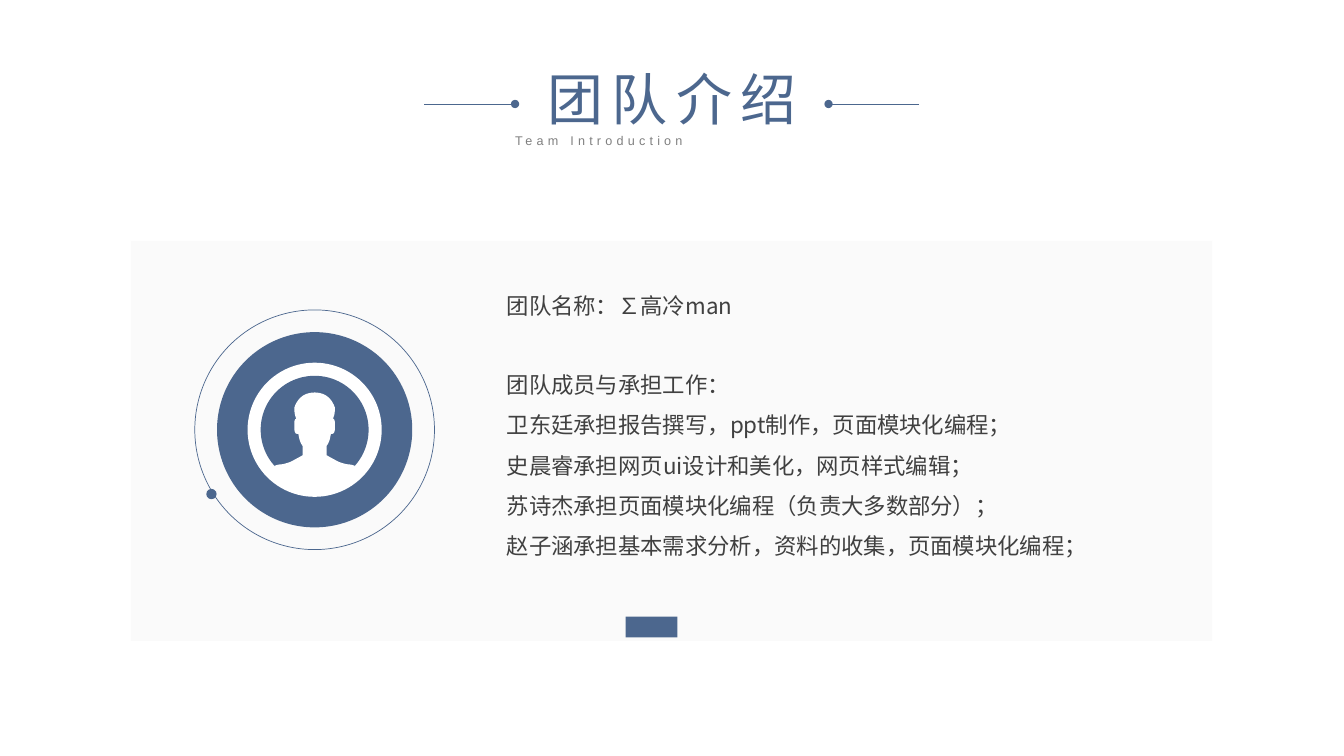
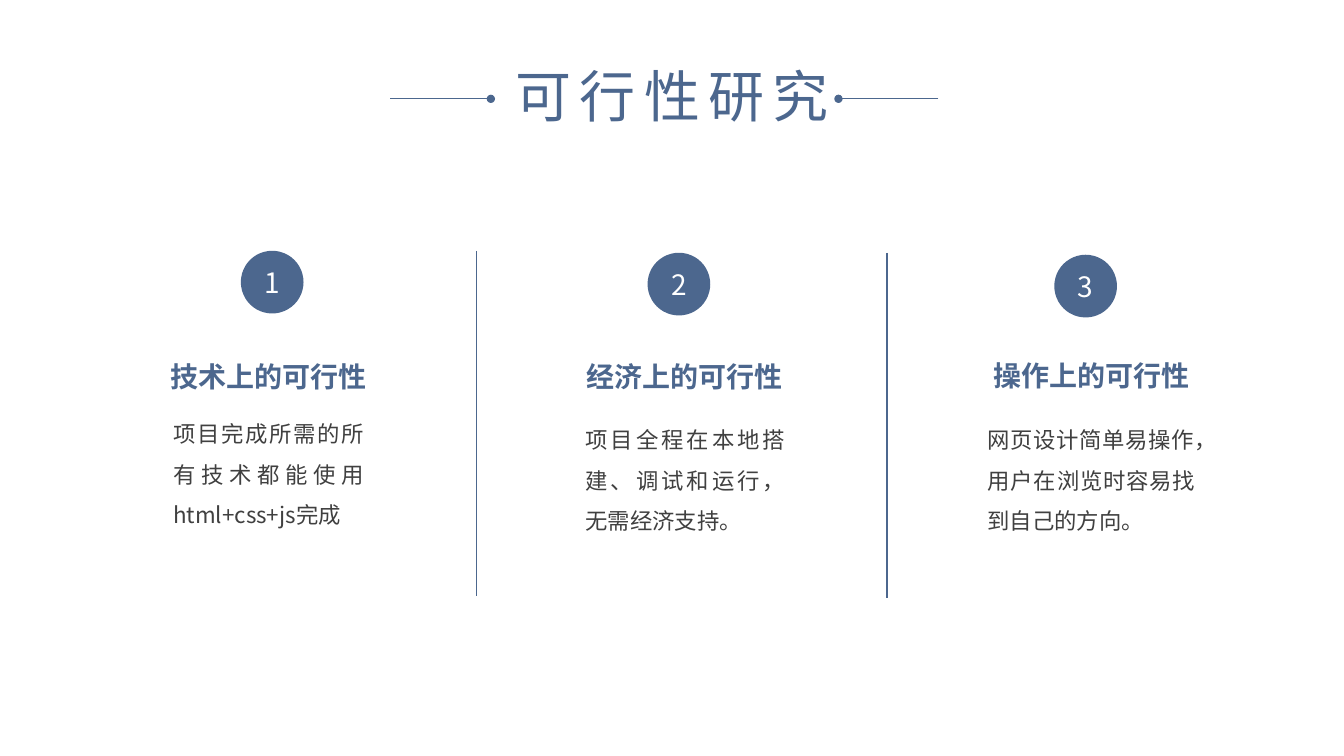
from lxml import etree
from pptx import Presentation, util as u
from pptx.dml.color import RGBColor
from pptx.enum import shapes, text
from pptx.oxml import ns

Cm, Pt = u.Cm, u.Pt
BLUE, GREY, DARK, PALE, WHITE = "4C678E", "808080", "404040", "F2F2F2", "FFFFFF"
CJK = "Noto Sans CJK SC"

# Text formats
TITLE = dict(size=40, color=BLUE, spacing=6, align="CENTER")
SUBTITLE = dict(size=9, color=GREY, spacing=3, name="Arial")
BODY = dict(size=16, color=DARK, line=1.5)
HEADING = dict(size=20, color=BLUE, bold=True, line=1.5)
NUMBER = dict(size=20, color=WHITE, align="CENTER")

# Content; all lengths in cm
TEAM = dict(title="团队介绍", box=(13.11, 1.5, 7.65, 1.96), rule_y=2.62,
            rules=((10.69, 12.98), (23.16, 20.88)))
STUDY = dict(title="可行性研究", box=(12.37, 1.42, 9.14, 1.96), rule_y=2.49,
             rules=((9.83, 12.37), (23.65, 21.13)))
TEAM_NAME = ["团队名称：∑高冷man"]
TEAM_WORK = [
    "团队成员与承担工作：",
    "卫东廷承担报告撰写，ppt制作，页面模块化编程；",
    "史晨睿承担网页ui设计和美化，网页样式编辑；",
    "苏诗杰承担页面模块化编程（负责大多数部分）；",
    "赵子涵承担基本需求分析，资料的收集，页面模块化编程；",
]
COLUMNS = [  # heading, its box, body, its box
    ("技术上的可行性", (4.29, 8.64, 4.98, 1.14),
     "项目完成所需的所有技术都能使用html+css+js完成", (4.37, 10.26, 4.8, 2.95)),
    ("经济上的可行性", (14.78, 8.64, 5.66, 1.14),
     "项目全程在本地搭建、调试和运行，无需经济支持。", (14.76, 10.41, 5.03, 2.95)),
    ("操作上的可行性", (25.04, 8.61, 4.95, 1.14),
     "网页设计简单易操作，用户在浏览时容易找到自己的方向。", (24.89, 10.41, 5.23, 2.95)),
]

# Right half of the bust, measured from the badge centre: each row is a
# Bézier piece (two controls and an end) or a straight piece (an end)
BADGE = (7.93, 10.83)
CROWN = (0, -0.94)
BUST = [
    ((0.33, -0.94), (0.46, -0.71), (0.51, -0.56)),
    ((0.51, -0.46), (0.51, -0.38), (0.46, -0.28)),
    ((0.53, -0.28), (0.51, -0.1), (0.51, -0.03)),
    ((0.51, 0), (0.51, 0.13), (0.41, 0.1)),
    ((0.38, 0.33), (0.3, 0.41), (0.3, 0.41)),
    ((0.3, 0.64),),
    ((0.3, 0.64), (0.38, 0.69), (0.61, 0.81)),
    ((0.89, 0.91), (0.81, 0.84), (1.02, 0.91)),
    ((0.76, 1.4),),
]


def rgb(color):
    return RGBColor.from_string(color)


def cms(values):
    return [Cm(value) for value in values]


def write(frame, lines, size, color, name=CJK, bold=False, spacing=0,
          align="JUSTIFY", line=1.0):
    for index, words in enumerate(lines):
        para = frame.add_paragraph() if index else frame.paragraphs[0]
        para.alignment = getattr(text.PP_ALIGN, align)
        para.line_spacing = line
        span = para.add_run()
        span.text = words
        span.font.color.rgb = rgb(color)
        for key, value in dict(size=Pt(size), name=name, bold=bold).items():
            setattr(span.font, key, value)
        properties = span._r.get_or_add_rPr()
        properties.set("spc", str(spacing * 100))
        etree.SubElement(properties, ns.qn("a:ea"), typeface=name)


def set_insets(frame, inset):
    for side in ("left", "top", "right", "bottom"):
        setattr(frame, f"margin_{side}", Cm(inset))


def add_text(page, box, lines, style, inset=None):
    frame = page.shapes.add_textbox(*cms(box)).text_frame
    frame.word_wrap = True
    frame.auto_size = text.MSO_AUTO_SIZE.SHAPE_TO_FIT_TEXT
    if inset is not None:
        set_insets(frame, inset)
    write(frame, lines, **style)


def paint(shape, fill=None, line=None, opacity=None):
    shape.shadow.inherit = False
    if fill:
        shape.fill.solid()
        shape.fill.fore_color.rgb = rgb(fill)
    else:
        shape.fill.background()
    if line:
        shape.line.color.rgb = rgb(line)
        shape.line.width = Pt(0.5)
    else:
        shape.line.fill.background()
    if opacity:
        tint = shape._element.spPr.find(".//" + ns.qn("a:srgbClr"))
        etree.SubElement(tint, ns.qn("a:alpha"), val=str(opacity * 1000))
    return shape


def add_rect(page, box, **look):
    kind = shapes.MSO_SHAPE.RECTANGLE
    return paint(page.shapes.add_shape(kind, *cms(box)), **look)


def add_circle(page, center, radius, **look):
    x, y = center
    box = cms((x - radius, y - radius, 2 * radius, 2 * radius))
    return paint(page.shapes.add_shape(shapes.MSO_SHAPE.OVAL, *box), **look)


def add_line(page, start, end, width, dot=False):
    line = page.shapes.add_connector(shapes.MSO_CONNECTOR.STRAIGHT, *cms(start + end))
    line.line.color.rgb = rgb(BLUE)
    line.line.width = Pt(width)
    if dot:
        etree.SubElement(line.line._get_or_add_ln(), ns.qn("a:tailEnd"), type="oval")
    etree.SubElement(line._element.spPr, ns.qn("a:effectLst"))


def half_outline(steps=8):
    """Return the points of the bust's right half, from crown to base."""
    points = [CROWN]
    for piece in BUST:
        if len(piece) == 1:
            points += piece
            continue
        corners = (points[-1], *piece)
        for step in range(1, steps + 1):
            t = step / steps
            weights = ((1 - t) ** 3, 3 * t * (1 - t) ** 2, 3 * t * t * (1 - t), t ** 3)
            points.append(tuple(sum(w * c[axis] for w, c in zip(weights, corners))
                                for axis in (0, 1)))
    return points


def add_badge(page):
    add_circle(page, BADGE, 3.02, line=BLUE)
    add_circle(page, (5.33, 12.45), 0.13, fill=BLUE)
    for radius, color in ((2.46, BLUE), (1.69, WHITE), (1.36, BLUE)):
        add_circle(page, BADGE, radius, fill=color)
    right = half_outline()
    left = [(-x, y) for x, y in reversed(right)]
    points = [cms((BADGE[0] + x, BADGE[1] + y)) for x, y in right + left]
    builder = page.shapes.build_freeform(*points[0])
    builder.add_line_segments(points[1:], close=True)
    paint(builder.convert_to_shape(), fill=WHITE)


def add_page(deck, header):
    page = deck.slides.add_slide(deck.slide_layouts[6])
    add_text(page, header["box"], [header["title"]], TITLE)
    y = header["rule_y"]
    for outer, inner in header["rules"]:
        add_line(page, (outer, y), (inner, y), 0.5, dot=True)
    return page


def build_team(deck):
    page = add_page(deck, TEAM)
    add_text(page, (12.73, 3.23, 8.43, 0.64), ["Team Introduction"], SUBTITLE)
    add_rect(page, (3.3, 6.07, 27.25, 10.08), fill=PALE, opacity=33)
    add_rect(page, (15.77, 15.54, 1.3, 0.52), fill=BLUE)
    add_text(page, (12.52, 6.91, 15.47, 1.17), TEAM_NAME, BODY)
    add_text(page, (12.52, 8.89, 16.66, 5.26), TEAM_WORK, BODY)
    add_badge(page)


def build_study(deck):
    page = add_page(deck, STUDY)
    for index, (heading, heading_box, body, body_box) in enumerate(COLUMNS):
        top = 6.32 + 0.05 * index
        circle = add_circle(page, (6.86 + 10.25 * index, top + 0.79), 0.79, fill=BLUE)
        frame = circle.text_frame
        set_insets(frame, 0)
        frame.vertical_anchor = text.MSO_ANCHOR.MIDDLE
        write(frame, [str(index + 1)], **NUMBER)
        add_text(page, heading_box, [heading], HEADING, inset=0)
        add_text(page, body_box, [body], BODY, inset=0)
        if index < len(COLUMNS) - 1:
            x = 12.01 + 10.34 * index
            add_line(page, (x, top), (x, top + 8.71), 1)


def main():
    deck = Presentation()
    deck.slide_width, deck.slide_height = Cm(33.87), Cm(19.05)
    build_team(deck)
    build_study(deck)
    deck.save("out.pptx")


if __name__ == "__main__":
    main()
